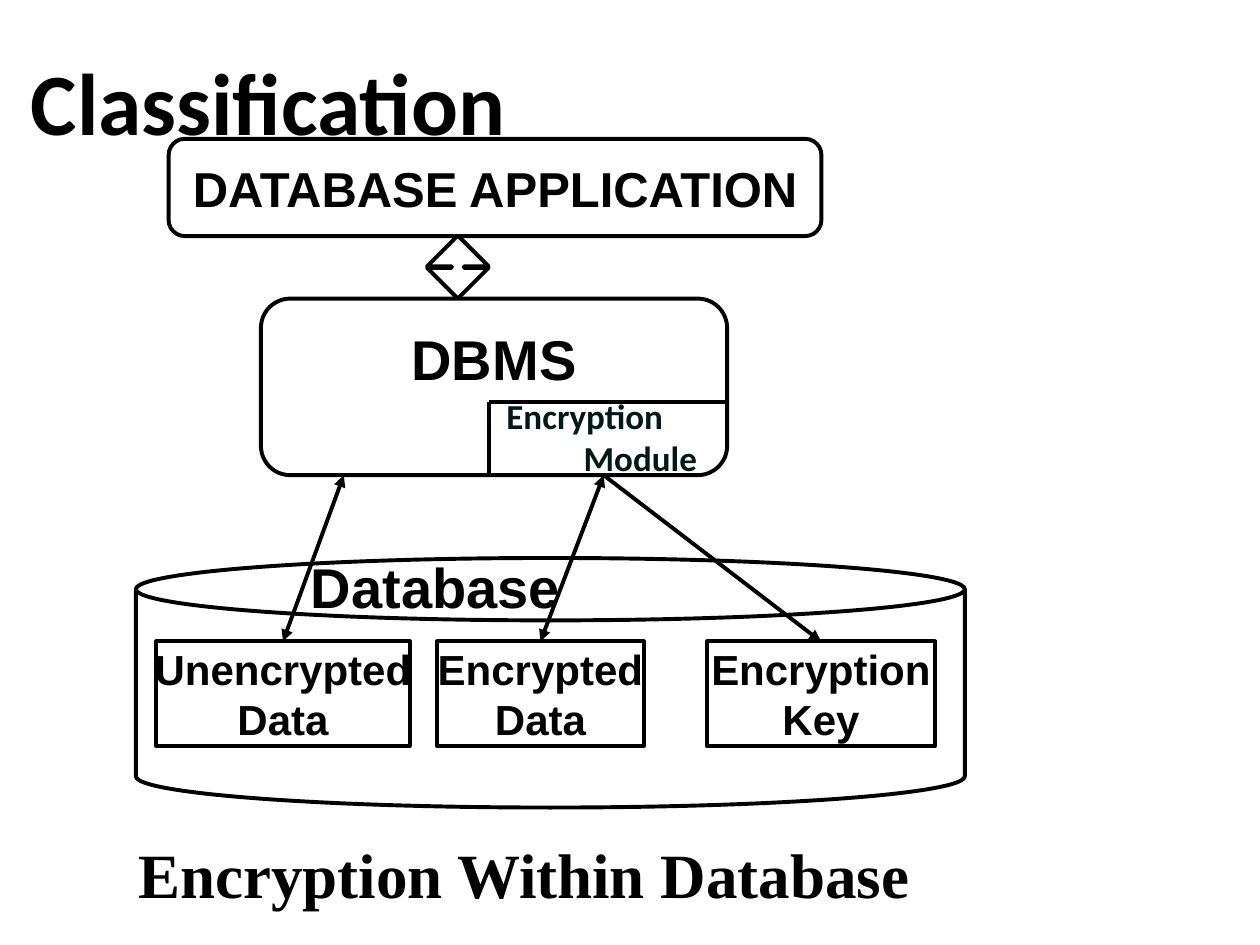
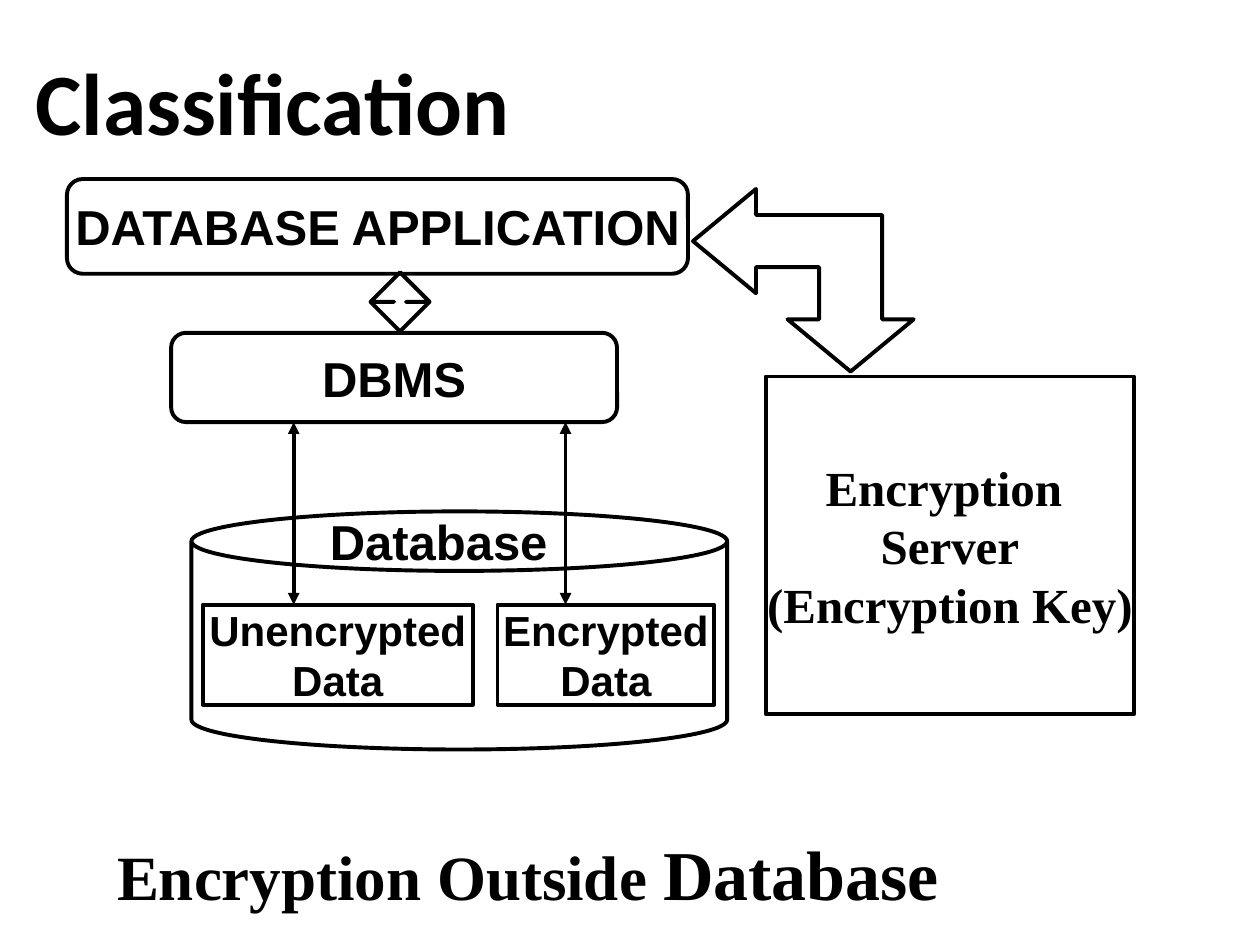
from collections import namedtuple

from lxml.etree import SubElement
from pptx import Presentation
from pptx.dml.color import RGBColor
from pptx.enum.shapes import MSO_CONNECTOR as Link, MSO_SHAPE as Preset
from pptx.enum.text import MSO_ANCHOR as Anchor, PP_ALIGN as Align
from pptx.oxml.ns import qn
from pptx.util import Cm, Pt

COLORS = {"ink": "000000", "module": "001817"}
SANS, TITLE_FONT, SERIF = "Arial", "Calibri", "Times New Roman"
LINE_WIDTH = Pt(2.25)
ELBOW_CELLS = 7
ELBOW_OUTLINE = [(0, 2), (2, 4), (2, 3), (4, 3), (4, 5), (3, 5),
                 (5, 7), (7, 5), (6, 5), (6, 1), (2, 1), (2, 0)]

Box = namedtuple("Box", "left top width height")
Store = namedtuple("Store", "lines offset width")


def color(name):
    return RGBColor.from_string(COLORS[name])


def lengths(box):
    return [Cm(value) for value in box]


def style_run(run, size, font, ink="ink"):
    run.font.size = Pt(size)
    run.font.name = font
    run.font.bold = True
    run.font.color.rgb = color(ink)


def write(text_frame, lines, size, font=SANS, align=Align.CENTER, ink="ink"):
    """Put one paragraph per line and format them alike."""
    text_frame.text = "\n".join(lines)
    for paragraph in text_frame.paragraphs:
        paragraph.alignment = align
        for run in paragraph.runs:
            style_run(run, size, font, ink)


def outline(shape):
    shape.shadow.inherit = False
    shape.fill.background()
    shape.line.color.rgb = color("ink")
    shape.line.width = LINE_WIDTH


def add_outlined(slide, preset, box, lines=(), size=28, font=SANS):
    shape = slide.shapes.add_shape(preset, *lengths(box))
    outline(shape)
    if lines:
        shape.text_frame.word_wrap = False
        shape.text_frame.vertical_anchor = Anchor.MIDDLE
        write(shape.text_frame, lines, size, font)
    return shape


def add_text_frame(slide, box):
    text_frame = slide.shapes.add_textbox(*lengths(box)).text_frame
    text_frame.word_wrap = True
    return text_frame


def add_line(slide, start, end, arrows=()):
    """Draw a line; arrows may hold "headEnd" and "tailEnd", in that order."""
    connector = slide.shapes.add_connector(
        Link.STRAIGHT, *lengths(start), *lengths(end))
    connector.line.color.rgb = color("ink")
    connector.line.width = LINE_WIDTH
    properties = connector._element.spPr
    for arrow in arrows:
        SubElement(properties.find(qn("a:ln")), qn("a:" + arrow), type="triangle")
    SubElement(properties, qn("a:effectLst"))
    return connector


def add_title(slide, left, width):
    text_frame = add_text_frame(slide, Box(left, 0.84, width, 2.03))
    write(text_frame, ["Classification"], 50, TITLE_FONT)


def add_caption(slide, box, parts):
    """Write a line of (text, size) parts."""
    paragraph = add_text_frame(slide, box).paragraphs[0]
    for text, size in parts:
        run = paragraph.add_run()
        run.text = text
        style_run(run, size, SERIF)


def add_application(slide, box):
    add_outlined(slide, Preset.ROUNDED_RECTANGLE, box, ["DATABASE APPLICATION"])


def add_exchange_arrow(slide, box):
    arrow = add_outlined(slide, Preset.UP_DOWN_ARROW, box)
    arrow.adjustments[0] = 0.5
    arrow.adjustments[1] = 0.2


def add_dbms(slide, box, size=28):
    return add_outlined(slide, Preset.ROUNDED_RECTANGLE, box, ["DBMS"], size)


def add_dbms_with_module(slide, box):
    """Draw the DBMS with the encryption module in its lower right corner."""
    dbms = add_dbms(slide, box, 32)
    dbms.text_frame.margin_bottom = Cm(1.3)
    left, top = box.left + 4.6, box.top + 2.08
    add_line(slide, (left, box.top + box.height), (left, top))
    add_line(slide, (left, top), (box.left + box.width, top))
    text_frame = add_text_frame(slide, Box(left + 0.1, top - 0.28, 4.34, 1.96))
    write(text_frame, ["Encryption", "Module"], 20, TITLE_FONT, Align.LEFT, "module")
    text_frame.paragraphs[1].alignment = Align.RIGHT


def add_database(slide, box, label, label_size, stores, store_drop):
    """Draw the cylinder with its label and stores; return the store boxes."""
    add_outlined(slide, Preset.CAN, box)
    shapes = [
        add_outlined(slide, Preset.RECTANGLE,
                     Box(box.left + store.offset, box.top + store_drop,
                         store.width, box.height * 0.42),
                     store.lines, 24)
        for store in stores]
    text_frame = add_text_frame(
        slide, Box(box.left + label.left, box.top + label.top, label.width, label.height))
    write(text_frame, ["Database"], label_size, align=Align.LEFT)
    return shapes


def add_elbow_arrow(slide, box):
    """Draw the double-headed bent arrow on a square grid of cells."""
    points = [(Cm(box.left + x * box.width / ELBOW_CELLS),
               Cm(box.top + y * box.height / ELBOW_CELLS))
              for x, y in ELBOW_OUTLINE]
    builder = slide.shapes.build_freeform(*points[0], scale=1.0)
    builder.add_line_segments(points[1:], close=True)
    outline(builder.convert_to_shape())


def build_within_database(slide):
    dbms_box = Box(5.26, 6.02, 9.4, 3.56)
    dbms_bottom = dbms_box.top + dbms_box.height
    add_caption(slide, Box(2.54, 16.71, 16.51, 1.8),
                [("Encryption Within Database", 36)])
    add_application(slide, Box(3.4, 2.8, 13.16, 1.96))
    add_dbms_with_module(slide, dbms_box)
    stores = add_database(
        slide, Box(2.74, 11.25, 16.71, 5.03), Box(3.28, -0.23, 6.48, 1.57), 32,
        [Store(["Unencrypted", "Data"], 0.41, 5.11),
         Store(["Encrypted", "Data"], 6.07, 4.17),
         Store(["Encryption", "Key"], 11.51, 4.6)], 1.68)
    both = ("headEnd", "tailEnd")
    starts = [(6.93, both), (12.17, both), (12.17, ("tailEnd",))]
    for store, (x, arrows) in zip(stores, starts):
        start = (x, dbms_bottom)
        add_line(slide, start, start, arrows).end_connect(store, 0)
    add_exchange_arrow(slide, Box(8.61, 4.75, 1.24, 1.27))
    add_title(slide, -0.84, 12.5)


def build_outside_database(slide):
    dbms_box = Box(3.45, 6.71, 8.99, 1.8)
    database_box = Box(3.86, 10.31, 10.8, 4.8)
    store_drop = 1.88
    add_application(slide, Box(1.35, 3.61, 12.52, 1.91))
    add_dbms(slide, dbms_box)
    add_database(
        slide, database_box, Box(2.54, -0.12, 5.66, 1.45), 28,
        [Store(["Unencrypted", "Data"], 0.23, 5.44),
         Store(["Encrypted", "Data"], 6.17, 4.37)], store_drop)
    for x in (5.92, 11.4):
        add_line(slide, (x, dbms_box.top + dbms_box.height),
                 (x, database_box.top + store_drop), ("headEnd", "tailEnd"))
    add_exchange_arrow(slide, Box(7.47, 5.49, 1.19, 1.19))
    add_outlined(slide, Preset.RECTANGLE, Box(15.44, 7.59, 7.42, 6.81),
                 ["Encryption ", "Server", "(Encryption Key)"], 28, SERIF)
    add_elbow_arrow(slide, Box(13.97, 3.81, 4.45, 3.68))
    add_caption(slide, Box(2.11, 16.61, 18.31, 1.96),
                [("Encryption Outside ", 36), ("Database", 40)])
    add_title(slide, 0, 11)


def main():
    presentation = Presentation()
    presentation.slide_width, presentation.slide_height = Cm(25.4), Cm(19.05)
    blank = presentation.slide_layouts[6]
    for build in (build_within_database, build_outside_database):
        build(presentation.slides.add_slide(blank))
    presentation.save("out.pptx")


if __name__ == "__main__":
    main()
